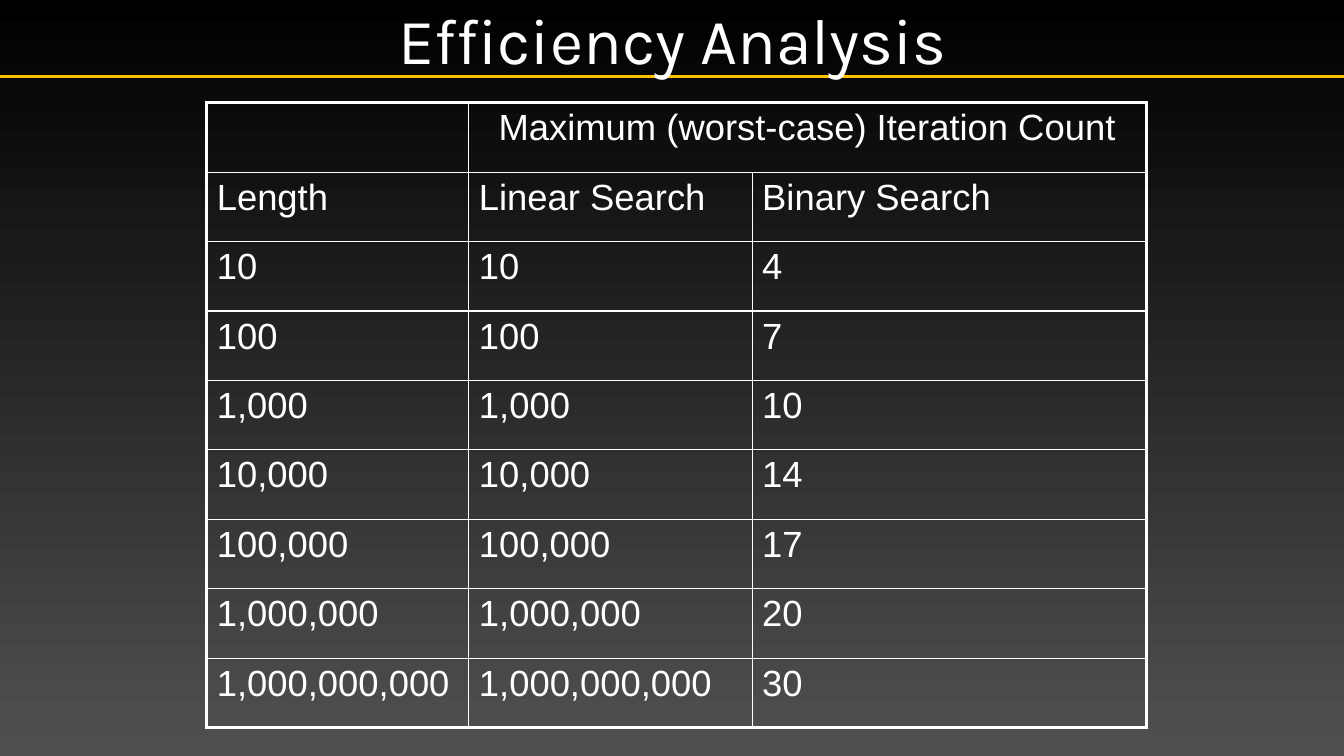
from lxml import etree
from pptx import Presentation
from pptx.dml.color import RGBColor
from pptx.enum.shapes import MSO_CONNECTOR
from pptx.enum.text import MSO_ANCHOR, PP_ALIGN
from pptx.oxml.ns import qn
from pptx.util import Inches, Pt

LINE = MSO_CONNECTOR.STRAIGHT
MID = MSO_ANCHOR.MIDDLE
LEFT, MIDST = PP_ALIGN.LEFT, PP_ALIGN.CENTER

TITLE = "Efficiency Analysis"
ROWS = [
    ("", "Maximum (worst-case) Iteration Count", ""),
    ("Length", "Linear Search", "Binary Search"),
    ("10", "10", "4"),
    ("100", "100", "7"),
    ("1,000", "1,000", "10"),
    ("10,000", "10,000", "14"),
    ("100,000", "100,000", "17"),
    ("1,000,000", "1,000,000", "20"),
    ("1,000,000,000", "1,000,000,000", "30"),
]
WIDTHS = (2.6, 2.81, 3.91)
HIGH = 6.2 / len(ROWS)

THEME = {
    "white": "FFFFFF",
    "gold": "FFC000",
    "fade": ("000000", "505050"),
    "title": {"name": "Karla", "size": Pt(46)},
    "body": {"name": "Arial", "size": Pt(26)},
    "rule": Pt(2.5),
    "thick": Pt(2.25),
    "thin": Pt(1),
}


def color(code):
    return RGBColor.from_string(code)


def write(frame, text, style, align):
    para = frame.paragraphs[0]
    para.alignment = align
    run = para.add_run()
    run.text = text
    for key, value in THEME[style].items():
        setattr(run.font, key, value)
    run.font.color.rgb = color(THEME["white"])


def border(cell, edges):
    props = cell._tc.get_or_add_tcPr()
    for side, outer in edges.items():
        width = THEME["thick" if outer else "thin"]
        line = etree.SubElement(props, qn("a:ln" + side), w=str(int(width)))
        fill = etree.SubElement(line, qn("a:solidFill"))
        etree.SubElement(fill, qn("a:srgbClr"), val=THEME["white"])


def shade(slide):
    fill = slide.background.fill
    fill.gradient()
    fill.gradient_angle = 270
    for stop, code in zip(fill.gradient_stops, THEME["fade"]):
        stop.color.rgb = color(code)


def rule(slide):
    line = slide.shapes.add_connector(
        LINE, 0, Inches(0.76), Inches(13.33), Inches(0.76))
    line.line.color.rgb = color(THEME["gold"])
    line.line.width = THEME["rule"]
    etree.SubElement(line._element.spPr, qn("a:effectLst"))


def title(slide):
    box = slide.shapes.add_textbox(
        Inches(1.67), 0, Inches(10), Inches(0.77))
    frame = box.text_frame
    frame.word_wrap = True
    frame.vertical_anchor = MID
    for side in ("left", "right", "top", "bottom"):
        setattr(frame, "margin_" + side, Inches(0.05))
    write(frame, TITLE, "title", MIDST)


def counts(slide):
    table = slide.shapes.add_table(
        len(ROWS), len(WIDTHS), Inches(2.05), Inches(1.02),
        Inches(sum(WIDTHS)), Inches(HIGH * len(ROWS))).table
    table.first_row = table.horz_banding = False
    for col, width in zip(table.columns, WIDTHS):
        col.width = Inches(width)
    table.cell(0, 1).merge(table.cell(0, 2))
    for r, row in enumerate(ROWS):
        table.rows[r].height = Inches(HIGH)
        for c, text in enumerate(row):
            cell = table.cell(r, c)
            border(cell, {
                "L": c == 0,
                "R": c == len(row) - 1 or cell.is_merge_origin,
                "T": r == 0,
                "B": r == len(ROWS) - 1,
            })
            cell.fill.background()
            if text:
                align = MIDST if cell.is_merge_origin else LEFT
                write(cell.text_frame, text, "body", align)


def main():
    deck = Presentation()
    deck.slide_width, deck.slide_height = Inches(13.33), Inches(7.5)
    slide = deck.slides.add_slide(deck.slide_layouts[6])
    for draw in (shade, rule, title, counts):
        draw(slide)
    deck.save("out.pptx")


if __name__ == "__main__":
    main()
